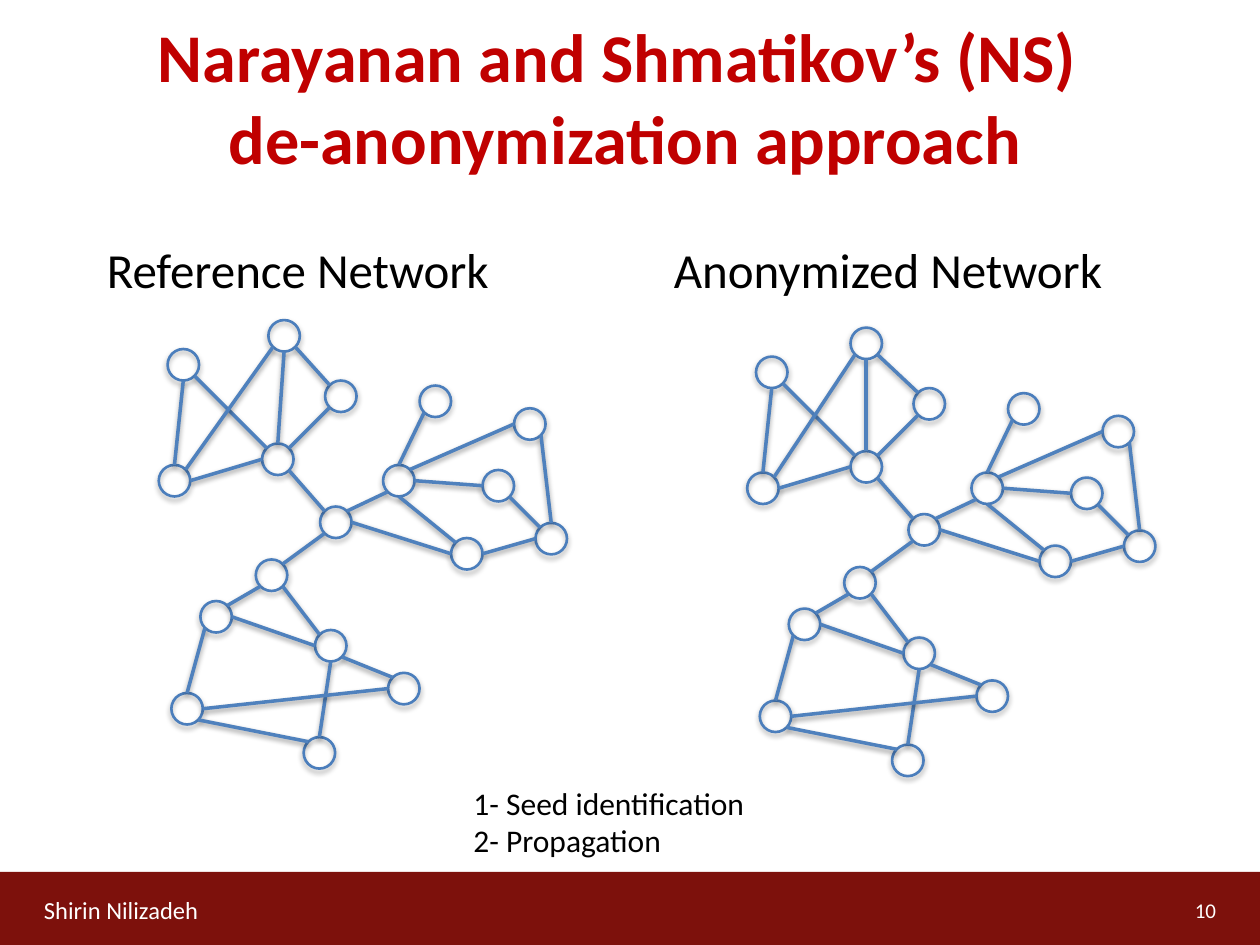
from math import cos, sin, radians
from lxml.etree import SubElement as Sub
from pptx import Presentation
from pptx.dml.color import RGBColor as RGB
from pptx.enum.shapes import MSO_CONNECTOR as Link, MSO_SHAPE as Shape
from pptx.enum.text import MSO_ANCHOR as Anchor, MSO_AUTO_SIZE as Fit, PP_ALIGN as Align
from pptx.oxml.ns import qn
from pptx.util import Inches, Pt

COLS, ROWS = 100, 75
SIZE = 2.5  # node diameter in grid units
SITES = {"E": 0, "SE": 45, "S": 90, "SW": 135, "W": 180, "NW": 225, "N": 270, "NE": 315}

# Left and top of each node, in grid units
NODES = {
    "a": (20.8, 35.2), "b": (25.8, 30.2), "c": (30.4, 36.9), "d": (20.3, 44.4),
    "e": (15.9, 47.7), "f": (35.8, 42.7), "g": (25, 50), "h": (12.6, 36.9),
    "i": (33.3, 30.6), "j": (24.1, 58.5), "k": (13.3, 27.7), "l": (21.3, 25.4),
    "m": (25.4, 40.2), "n": (42.5, 41.5), "o": (38.3, 37.3), "p": (13.6, 55),
    "q": (40.8, 32.4), "r": (30.8, 53.4),
}
# Start node, its side, end node, its side
EDGES = """
a SE m NW, m NE c SW, d NE m SW, b SW a NE, h E a W, k SE a NW, l S a N,
l SW h NE, l SE b NW, k S h N, e NE d SW, d SE g NW, p N e SW, p SE j NW,
e E g W, g SE r NW, g S j N, p E r W, c N i SW, c E o W, m E f W,
q W c NE, c S f NW, n W f E, o SE n NW, q SE n N
"""


def tint(code):
    return RGB.from_string(code)


def shade(props, alpha, dist):
    """Cast a soft black shadow straight down."""
    for old in props.findall(qn("a:effectLst")):
        props.remove(old)
    cast = Sub(Sub(props, qn("a:effectLst")), qn("a:outerShdw"), blurRad=str(Pt(3.1)),
               dist=str(Pt(dist)), dir="5400000", rotWithShape="0")
    black = Sub(cast, qn("a:srgbClr"), val="000000")
    Sub(black, qn("a:alpha"), val=str(alpha * 1000))


class Page:
    face = "Calibri"
    bar, ring, edge = "7D110C", "4B7EBC", "4F81BD"

    def __init__(self, deck):
        self.unit = deck.slide_width / COLS
        self.slide = deck.slides.add_slide(deck.slide_layouts[6])
        self.shapes = self.slide.shapes

    def span(self, *units):
        return [round(u * self.unit) for u in units]

    def text(self, box, lines, size, color="000000", bold=False,
             align=Align.LEFT, anchor=Anchor.MIDDLE, fit=Fit.NONE):
        frame = self.shapes.add_textbox(*self.span(*box)).text_frame
        form = {"word_wrap": True, "vertical_anchor": anchor, "auto_size": fit}
        for key, val in form.items():
            setattr(frame, key, val)
        frame.text = "\n".join(lines)
        for para in frame.paragraphs:
            para.alignment = align
            for run in para.runs:
                look = {"name": self.face, "size": Pt(size), "bold": bold}
                for key, val in look.items():
                    setattr(run.font, key, val)
                run.font.color.rgb = tint(color)

    def label(self, box, lines, size):
        self.text(box, lines, size, anchor=Anchor.TOP, fit=Fit.SHAPE_TO_FIT_TEXT)

    def band(self, box):
        rect = self.shapes.add_shape(Shape.RECTANGLE, *self.span(*box))
        rect.shadow.inherit = False
        rect.fill.solid()
        rect.fill.fore_color.rgb = tint(self.bar)
        rect.line.fill.background()

    def node(self, left, top):
        dot = self.shapes.add_shape(Shape.OVAL, *self.span(left, top, SIZE, SIZE))
        dot.fill.background()
        dot.line.color.rgb = tint(self.ring)
        dot.line.width = Pt(1.5)
        shade(dot._element.spPr, 35, 1.8)

    def line(self, start, end):
        link = self.shapes.add_connector(Link.STRAIGHT, *self.span(*start, *end))
        link.line.color.rgb = tint(self.edge)
        link.line.width = Pt(2)
        shade(link._element.spPr, 38, 1.6)

    def net(self, nodes):
        def site(name, side):
            """Point on the rim of a node at a compass side."""
            turn, rim = radians(SITES[side]), SIZE / 2
            left, top = nodes[name]
            return left + rim + rim * cos(turn), top + rim + rim * sin(turn)

        for spot in nodes.values():
            self.node(*spot)
        for edge in EDGES.split(","):
            tail, out, head, into = edge.split()
            self.line(site(tail, out), site(head, into))


def main():
    deck = Presentation()
    deck.slide_width, deck.slide_height = Inches(10), Inches(7.5)
    page = Page(deck)

    page.band((0, 69.2, COLS, ROWS - 69.2))
    page.text((2.5, 70.2, 17.5, 4), ["Shirin Nilizadeh"], 14, "FFFFFF")
    page.text((74.2, 70.2, 23.3, 4), ["10"], 12, "FFFFFF", align=Align.RIGHT)
    page.text((4.2, 0, 90.8, 15.3),
              ["Narayanan and Shmatikov’s (NS) \vde-anonymization approach"],
              39, "C00000", True, Align.CENTER)

    page.net(NODES)
    moved = {name: (x + 46.7, y + 0.6) for name, (x, y) in NODES.items()}
    moved["l"] = (67.5, 26)
    page.net(moved)

    page.label((36.6, 61.7, 31.7, 7.1), ["1- Seed identification", "2- Propagation"], 18)
    page.label((7.5, 18.5, 35, 5.7), ["Reference Network"], 28)
    page.label((52.5, 18.5, 40.3, 5.7), ["Anonymized Network"], 28)
    deck.save("out.pptx")


if __name__ == "__main__":
    main()
